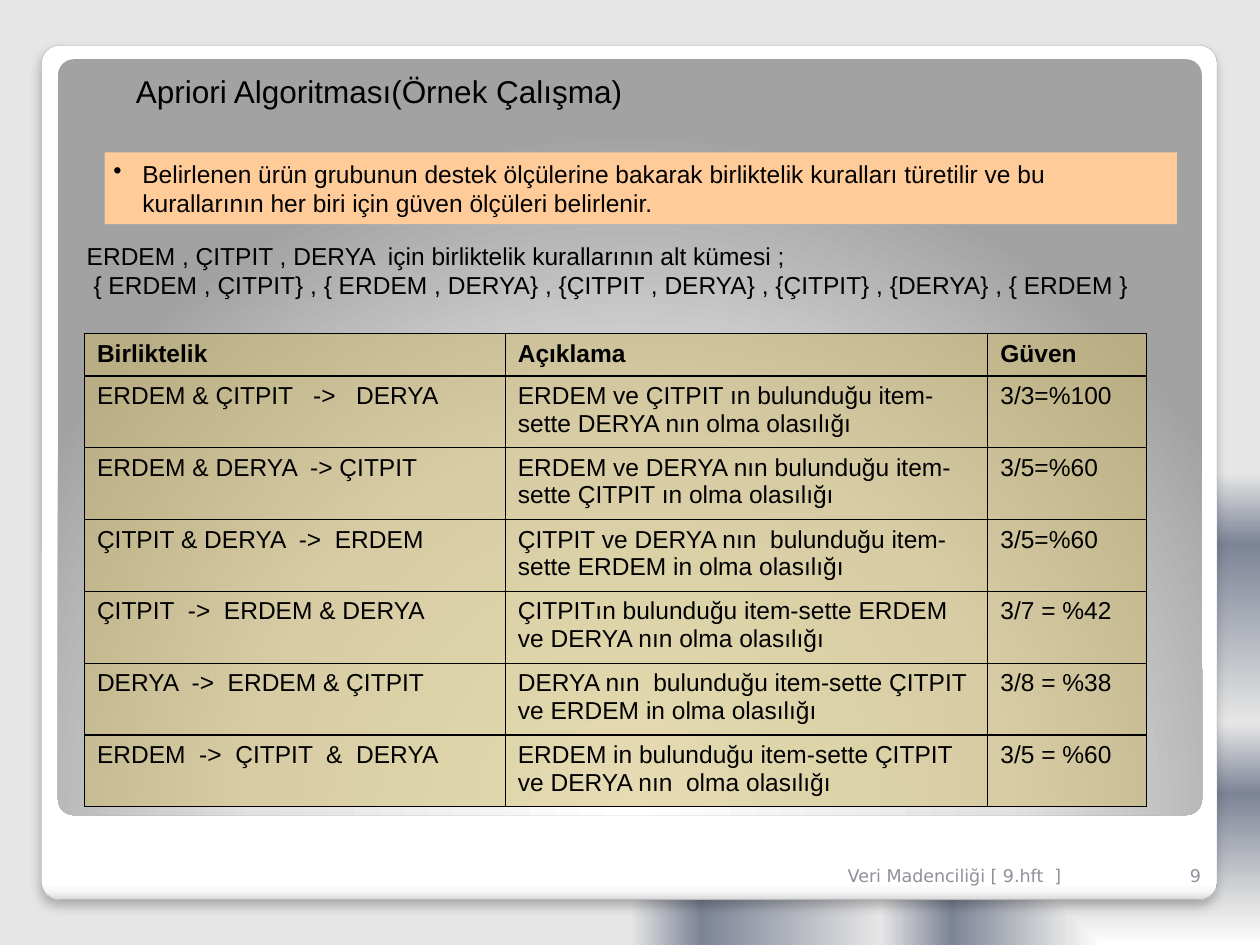
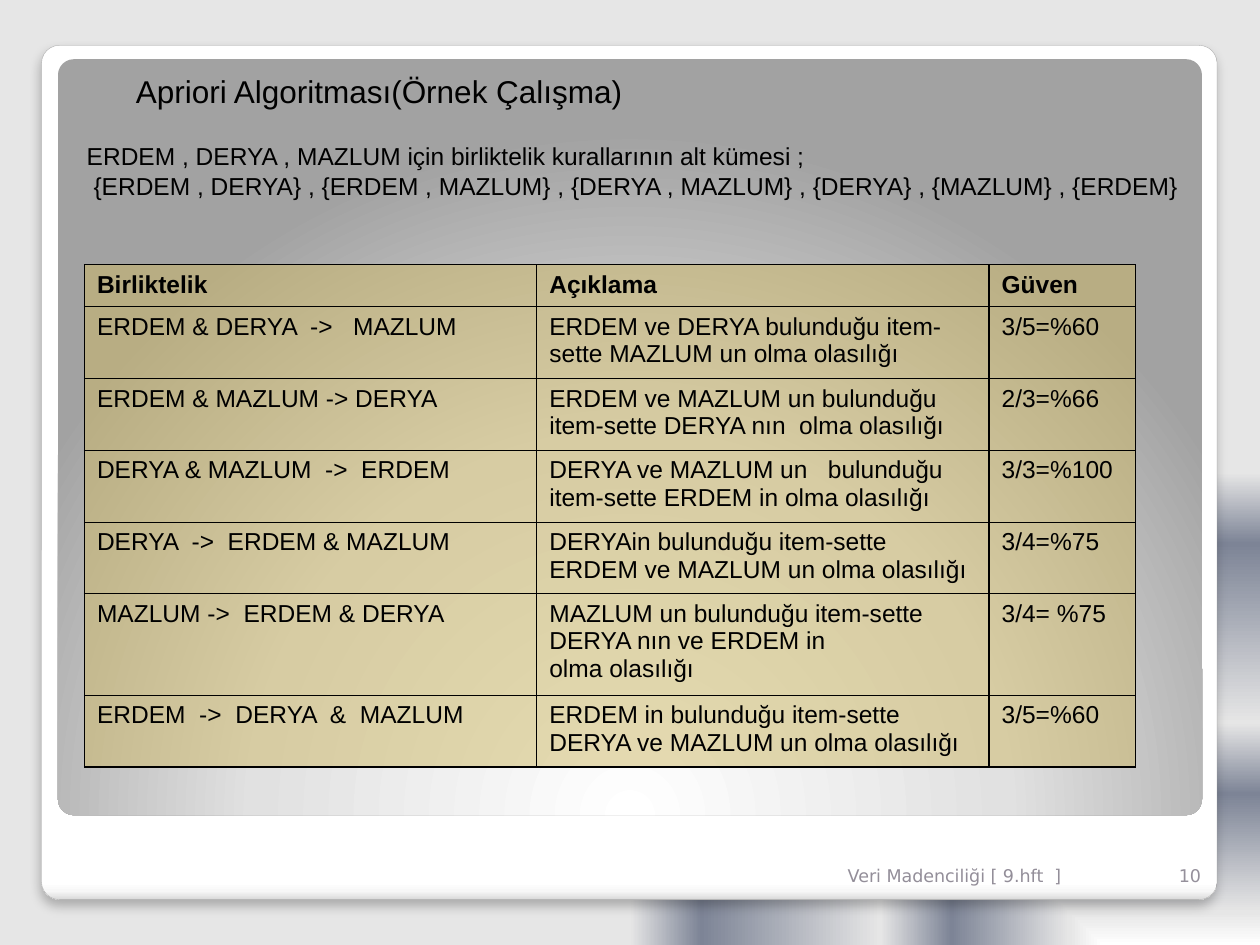
import pptx
import pptx.util
import pptx.dml.color
import pptx.enum.shapes
import pptx.enum.text
import pptx.oxml
import pptx.oxml.ns

Pt = pptx.util.Pt
ANCHOR = pptx.enum.text.MSO_ANCHOR
ALIGN = pptx.enum.text.PP_ALIGN
qn = pptx.oxml.ns.qn
NS = pptx.oxml.ns.nsdecls("a")

# Shared colours and fonts
BLACK, WHITE, BAND, GOLD = "000000", "FFFFFF", "FFCC99", "CEB966"
BODY, FOOT = "Arial", "DejaVu Sans"
BACKDROP = [(0, WHITE), (7, "E6E6E6"), (32, "7D8496"), (47, "E6E6E6"),
            (85, "7D8496"), (100, "E6E6E6")]
CARD = [(0, WHITE), (98, WHITE), (99, "F7F7F7"), (100, "DADADA")]
PANEL = [(0, WHITE), (55, "E1E1E1"), (100, "A2A2A2")]
DOWN = '<a:lin ang="5400000" scaled="0"/>'
CORNER = '<a:path path="rect"><a:fillToRect l="100000" t="100000"/></a:path>'
GLOW = ('<a:path path="circle"><a:fillToRect l="50000" t="175000" '
        'r="50000" b="-75000"/></a:path>')

# Content
slides = [
    dict(
        note="Belirlenen ürün grubunun destek ölçülerine bakarak birliktelik kuralları "
             "türetilir ve bu kurallarının her biri için güven ölçüleri belirlenir.",
        subsets="ERDEM , ÇITPIT , DERYA  için birliktelik kurallarının alt kümesi ;\n"
                " { ERDEM , ÇITPIT} , { ERDEM , DERYA} , {ÇITPIT , DERYA} , {ÇITPIT} , "
                "{DERYA} , { ERDEM }",
        subsets_at=(0.59, 1.86, 8.5, 0.57),
        table_top=2.65, cols=(3.34, 3.83, 1.26), lines=(1, 2, 2, 2, 2, 2, 2),
        rules=[
            ("ERDEM & ÇITPIT   ->   DERYA",
             "ERDEM ve ÇITPIT ın bulunduğu item-sette DERYA nın olma olasılığı", "3/3=%100"),
            ("ERDEM & DERYA  -> ÇITPIT",
             "ERDEM ve DERYA nın bulunduğu item-sette ÇITPIT ın olma olasılığı", "3/5=%60"),
            ("ÇITPIT & DERYA  ->  ERDEM",
             "ÇITPIT ve DERYA nın  bulunduğu item-sette ERDEM in olma olasılığı", "3/5=%60"),
            ("ÇITPIT  ->  ERDEM & DERYA",
             "ÇITPITın bulunduğu item-sette ERDEM ve DERYA nın olma olasılığı", "3/7 = %42"),
            ("DERYA  ->  ERDEM & ÇITPIT",
             "DERYA nın  bulunduğu item-sette ÇITPIT ve ERDEM in olma olasılığı", "3/8 = %38"),
            ("ERDEM  ->  ÇITPIT  &  DERYA",
             "ERDEM in bulunduğu item-sette ÇITPIT ve DERYA nın  olma olasılığı", "3/5 = %60"),
        ]),
    dict(
        note=None,
        subsets="ERDEM , DERYA , MAZLUM için birliktelik kurallarının alt kümesi ;\n"
                " {ERDEM , DERYA} , {ERDEM , MAZLUM} , {DERYA , MAZLUM} , {DERYA} , "
                "{MAZLUM} , {ERDEM}",
        subsets_at=(0.59, 1.07, 8.9, 0.57),
        table_top=2.1, cols=(3.59, 3.59, 1.16), lines=(1, 2, 2, 2, 2, 3, 2),
        rules=[
            ("ERDEM & DERYA  ->   MAZLUM",
             "ERDEM ve DERYA bulunduğu item-sette MAZLUM un olma olasılığı", "3/5=%60"),
            ("ERDEM & MAZLUM -> DERYA",
             "ERDEM ve MAZLUM un bulunduğu item-sette DERYA nın  olma olasılığı", "2/3=%66"),
            ("DERYA & MAZLUM  ->  ERDEM",
             "DERYA ve MAZLUM un   bulunduğu item-sette ERDEM in olma olasılığı", "3/3=%100"),
            ("DERYA  ->  ERDEM & MAZLUM",
             "DERYAin bulunduğu item-sette ERDEM ve MAZLUM un olma olasılığı", "3/4=%75"),
            ("MAZLUM ->  ERDEM & DERYA",
             "MAZLUM un bulunduğu item-sette DERYA nın ve ERDEM in\nolma olasılığı",
             "3/4= %75"),
            ("ERDEM  ->  DERYA  &  MAZLUM",
             "ERDEM in bulunduğu item-sette DERYA ve MAZLUM un olma olasılığı", "3/5=%60"),
        ]),
]


def rgb(colour):
    return pptx.dml.color.RGBColor.from_string(colour)


def gradient(owner, stops, direction):
    """Turn the first solid fill inside the owner's XML into a gradient."""
    solid = owner.find(".//" + qn("a:solidFill"))
    gs = "".join(f'<a:gs pos="{pos * 1000}"><a:srgbClr val="{c}"/></a:gs>'
                 for pos, c in stops)
    solid.getparent().replace(solid, pptx.oxml.parse_xml(
        f'<a:gradFill {NS} rotWithShape="1"><a:gsLst>{gs}</a:gsLst>{direction}</a:gradFill>'))


prs = pptx.Presentation()
prs.slide_width, prs.slide_height = pptx.util.Inches(10), pptx.util.Inches(7.5)
unit = prs.slide_width // 10  # grid of 10 columns by 7.5 rows

for number, data in enumerate(slides, start=9):
    s = prs.slides.add_slide(prs.slide_layouts[6])

    # Backdrop, white card and grey panel
    s.background.fill.solid()
    s.background.fill.fore_color.rgb = rgb(WHITE)
    gradient(s._element, BACKDROP, CORNER)
    for at, stops, direction, edge in [((0.33, 0.36, 9.33, 6.78), CARD, DOWN, "A4A4A4"),
                                       ((0.46, 0.47, 9.08, 6), PANEL, GLOW, None)]:
        sp = s.shapes.add_shape(pptx.enum.shapes.MSO_SHAPE.ROUNDED_RECTANGLE,
                                *[int(v * unit) for v in at])
        sp.adjustments[0] = 0.021
        sp.fill.solid()
        gradient(sp._element, stops, direction)
        sp.shadow.inherit = False
        if edge:
            sp.line.color.rgb = rgb(edge)
            sp.line.width = Pt(0.16)
            sp._element.spPr.find(qn("a:effectLst")).append(pptx.oxml.parse_xml(
                f'<a:outerShdw {NS} blurRad="{Pt(6)}" dist="{Pt(4)}" dir="5400000" '
                f'rotWithShape="0"><a:srgbClr val="{BLACK}"><a:alpha val="25000"/>'
                '</a:srgbClr></a:outerShdw>'))
        else:
            sp.line.fill.background()

    # Footer, page number, title, note and subsets
    texts = [
        ((6.63, 6.68, 2.5, 0.4), "Veri Madenciliği [ 9.hft  ]", 10, FOOT, "938E99", ANCHOR.BOTTOM),
        ((9.13, 6.68, 0.5, 0.4), str(number), 10, FOOT, "95909B", ANCHOR.BOTTOM),
        ((0.98, 0.52, 5.35, 0.4), "Apriori Algoritması(Örnek Çalışma)", 18, BODY, BLACK, ANCHOR.TOP),
        ((0.83, 1.21, 8.51, 0.57), data["note"], 14, BODY, BLACK, ANCHOR.MIDDLE),
        (data["subsets_at"], data["subsets"], 14, BODY, BLACK, ANCHOR.MIDDLE),
    ]
    for at, text, size, font, colour, anchor in texts:
        if not text:
            continue
        sp = s.shapes.add_textbox(*[int(v * unit) for v in at])
        tf = sp.text_frame
        tf.word_wrap = text != data["subsets"]
        tf.vertical_anchor = anchor
        tf.text = text
        for p in tf.paragraphs:
            p.font.size, p.font.name = Pt(size), font
            p.font.color.rgb = rgb(colour)
            if text == str(number):
                p.alignment = ALIGN.RIGHT
        if text == data["note"]:
            sp.fill.solid()
            sp.fill.fore_color.rgb = rgb(BAND)
            tf.margin_left = int(0.07 * unit)
            pPr = tf.paragraphs[0]._p.get_or_add_pPr()
            indent = int(0.23 * unit)
            pPr.set("marL", str(indent))
            pPr.set("indent", str(-indent))
            pPr.insert(0, pptx.oxml.parse_xml(f'<a:buChar {NS} char="•"/>'))

    # Rule table: row height follows the number of text lines
    rows = [("Birliktelik", "Açıklama", "Güven")] + data["rules"]
    heights = [0.1 + 0.235 * n for n in data["lines"]]
    box = (0.67, data["table_top"], sum(data["cols"]), sum(heights))
    table = s.shapes.add_table(len(rows), 3, *[int(v * unit) for v in box]).table
    table.first_row = table.horz_banding = False
    for column, width in zip(table.columns, data["cols"]):
        column.width = int(width * unit)
    for i, (row, height) in enumerate(zip(rows, heights)):
        table.rows[i].height = int(height * unit)
        for j, text in enumerate(row):
            cell = table.cell(i, j)
            cell.text = text
            for p in cell.text_frame.paragraphs:
                p.font.size, p.font.name, p.font.bold = Pt(14), BODY, i == 0
                p.font.color.rgb = rgb(BLACK)
            cell.fill.solid()
            cell.fill.fore_color.rgb = rgb(GOLD)
            tcPr = cell._tc.get_or_add_tcPr()
            tcPr.find(".//" + qn("a:srgbClr")).append(
                pptx.oxml.parse_xml(f'<a:alpha {NS} val="50000"/>'))
            for k, side in enumerate("LRTB"):
                tcPr.insert(k, pptx.oxml.parse_xml(
                    f'<a:ln{side} {NS} w="{Pt(0.75)}"><a:solidFill>'
                    f'<a:srgbClr val="{BLACK}"/></a:solidFill></a:ln{side}>'))

prs.save("out.pptx")
